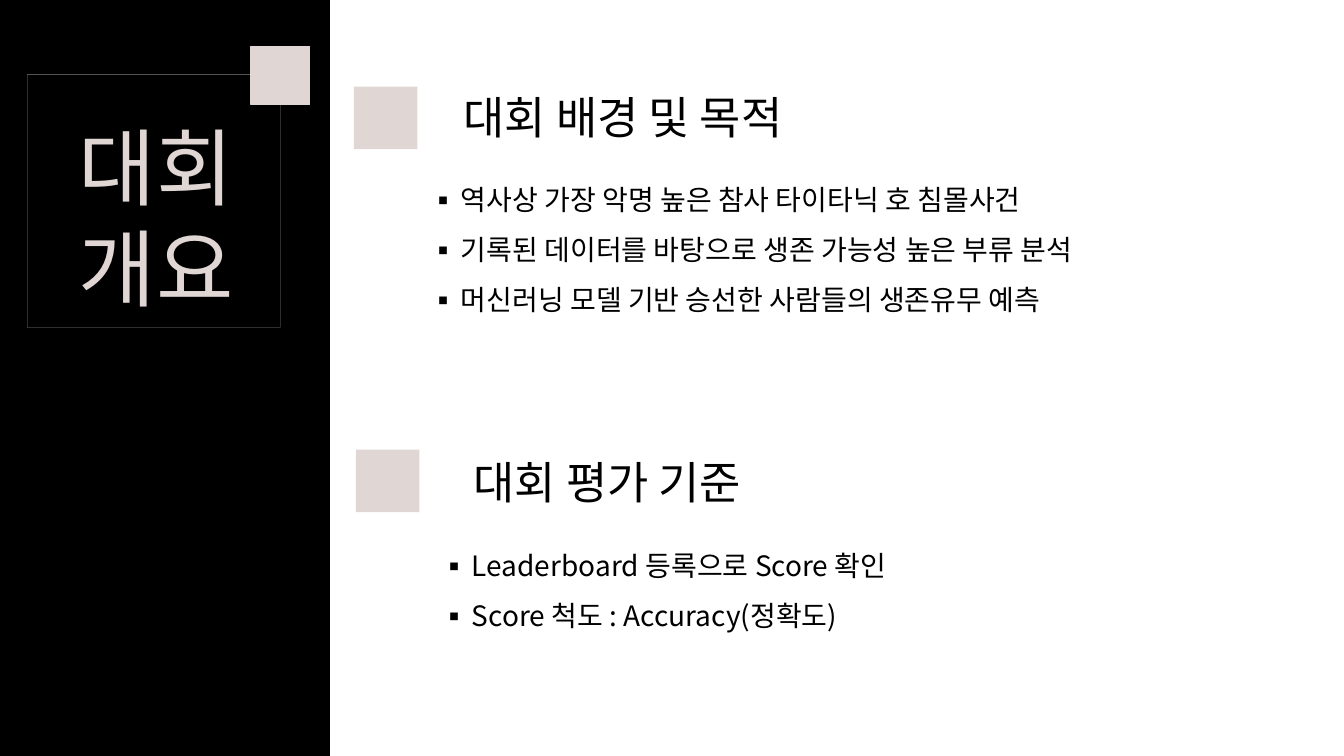
from dataclasses import dataclass

from lxml import etree
from pptx import Presentation
from pptx.dml.color import RGBColor
from pptx.enum.shapes import MSO_SHAPE
from pptx.enum.text import MSO_ANCHOR, MSO_AUTO_SIZE, PP_ALIGN
from pptx.oxml.ns import qn
from pptx.util import Inches, Pt

RECTANGLE = MSO_SHAPE.RECTANGLE
TOP = MSO_ANCHOR.TOP
NO_AUTOFIT = MSO_AUTO_SIZE.NONE
CENTER, LEFT = PP_ALIGN.CENTER, PP_ALIGN.LEFT

FONT = "Noto Sans CJK KR"
BLACK, BLUSH = "000000", "E0D6D4"
TWO_CONTENT_LAYOUT = 3

Box = tuple[float, float, float, float]


@dataclass
class Section:
    heading: str
    heading_box: Box
    marker_box: Box
    points: list[str]
    points_box: Box


SECTIONS = [
    Section(
        "대회 배경 및 목적", (4.27, 0.84, 3.82, 0.64), (3.51, 0.86, 0.63, 0.62),
        ["역사상 가장 악명 높은 참사 타이타닉 호 침몰사건",
         "기록된 데이터를 바탕으로 생존 가능성 높은 부류 분석",
         "머신러닝 모델 기반 승선한 사람들의 생존유무 예측"],
        (4.16, 1.59, 7.38, 1.55),
    ),
    Section(
        "대회 평가 기준", (4.42, 4.46, 3.21, 0.64), (3.53, 4.46, 0.63, 0.62),
        ["Leaderboard 등록으로 Score 확인", "Score 척도 : Accuracy(정확도)"],
        (4.27, 5.22, 4.79, 1.05),
    ),
]


def rgb(value: str) -> RGBColor:
    return RGBColor.from_string(value)


def add_rectangle(slide, box: Box, fill: str | None = None,
                  line: str | None = None, line_width: float = 1):
    rectangle = slide.shapes.add_shape(RECTANGLE, *map(Inches, box))
    rectangle.shadow.inherit = False
    if fill:
        rectangle.fill.solid()
        rectangle.fill.fore_color.rgb = rgb(fill)
    else:
        rectangle.fill.background()
    if line:
        rectangle.line.color.rgb = rgb(line)
        rectangle.line.width = Pt(line_width)
    else:
        rectangle.line.fill.background()
    return rectangle


def set_line_opacity(shape, percent: int) -> None:
    color = shape.line._ln.find(".//" + qn("a:srgbClr"))
    etree.SubElement(color, qn("a:alpha")).set("val", str(percent * 1000))


def place(shape, box: Box) -> None:
    shape.left, shape.top, shape.width, shape.height = map(Inches, box)


def add_bullet(paragraph) -> None:
    properties = paragraph._p.get_or_add_pPr()
    properties.set("marL", str(Inches(0.31)))
    properties.set("indent", str(Inches(-0.31)))
    etree.SubElement(properties, qn("a:buFont")).set("typeface", FONT)
    etree.SubElement(properties, qn("a:buChar")).set("char", "▪")


def write(shape, lines: list[str], size: float, color: str,
          bulleted: bool = False) -> None:
    """Fill a shape with one paragraph per line, centred unless bulleted."""
    frame = shape.text_frame
    frame.auto_size = NO_AUTOFIT
    frame.word_wrap = bulleted
    frame.vertical_anchor = TOP
    for index, line in enumerate(lines):
        paragraph = frame.add_paragraph() if index else frame.paragraphs[0]
        paragraph.alignment = LEFT if bulleted else CENTER
        paragraph.line_spacing = 1.5 if bulleted else 1.0
        paragraph.space_before = Pt(0)
        if bulleted:
            add_bullet(paragraph)
        run = paragraph.add_run()
        run.text = line
        run.font.size = Pt(size)
        run.font.name = FONT
        run.font.color.rgb = rgb(color)
        east_asian = etree.SubElement(run.font._element, qn("a:ea"))
        east_asian.set("typeface", FONT)


def add_title_panel(slide) -> None:
    add_rectangle(slide, (0, 0, 3.27, 7.5), BLACK, BLACK)
    title_frame = add_rectangle(slide, (0.27, 0.74, 2.51, 2.51),
                                line=BLUSH, line_width=0.25)
    set_line_opacity(title_frame, 60)
    add_rectangle(slide, (2.49, 0.46, 0.58, 0.58), BLUSH, BLUSH)

    title = slide.shapes.title
    place(title, (0.61, 1.1, 1.88, 2.12))
    write(title, ["대회", "개요"], 60, BLUSH)
    # The title has to lie in front of the black panel.
    slide.shapes._spTree.append(title._element)


def add_section(slide, section: Section, points) -> None:
    add_rectangle(slide, section.marker_box, BLUSH)
    heading = slide.shapes.add_textbox(*map(Inches, section.heading_box))
    write(heading, [section.heading], 32, BLACK)
    place(points, section.points_box)
    write(points, section.points, 20, BLACK, bulleted=True)


def main() -> None:
    presentation = Presentation()
    presentation.slide_width = Inches(13.33)
    presentation.slide_height = Inches(7.5)
    layout = presentation.slide_layouts[TWO_CONTENT_LAYOUT]
    slide = presentation.slides.add_slide(layout)
    _, *point_lists = slide.placeholders

    add_title_panel(slide)
    for section, points in zip(SECTIONS, point_lists):
        add_section(slide, section, points)
    presentation.save("out.pptx")


if __name__ == "__main__":
    main()
